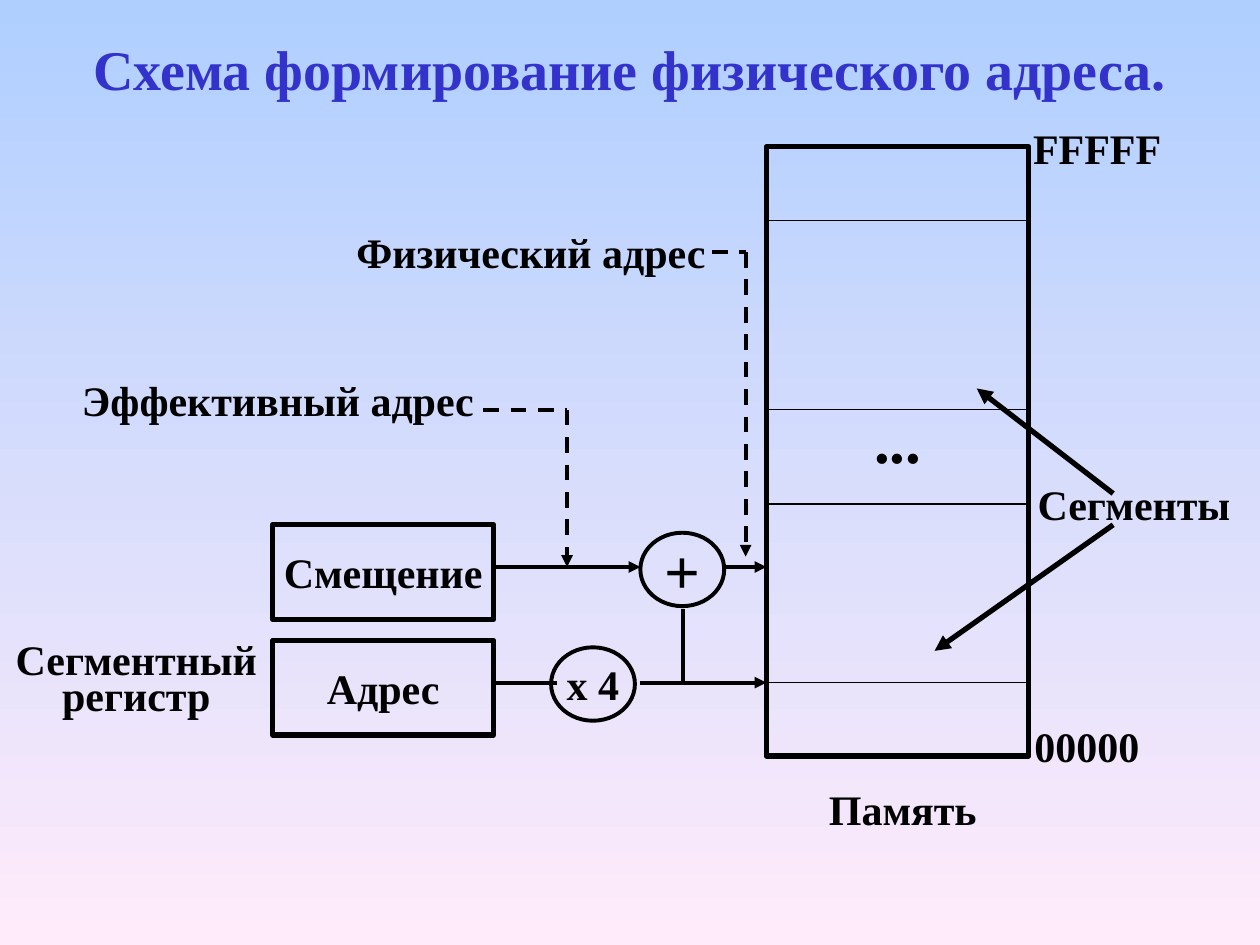
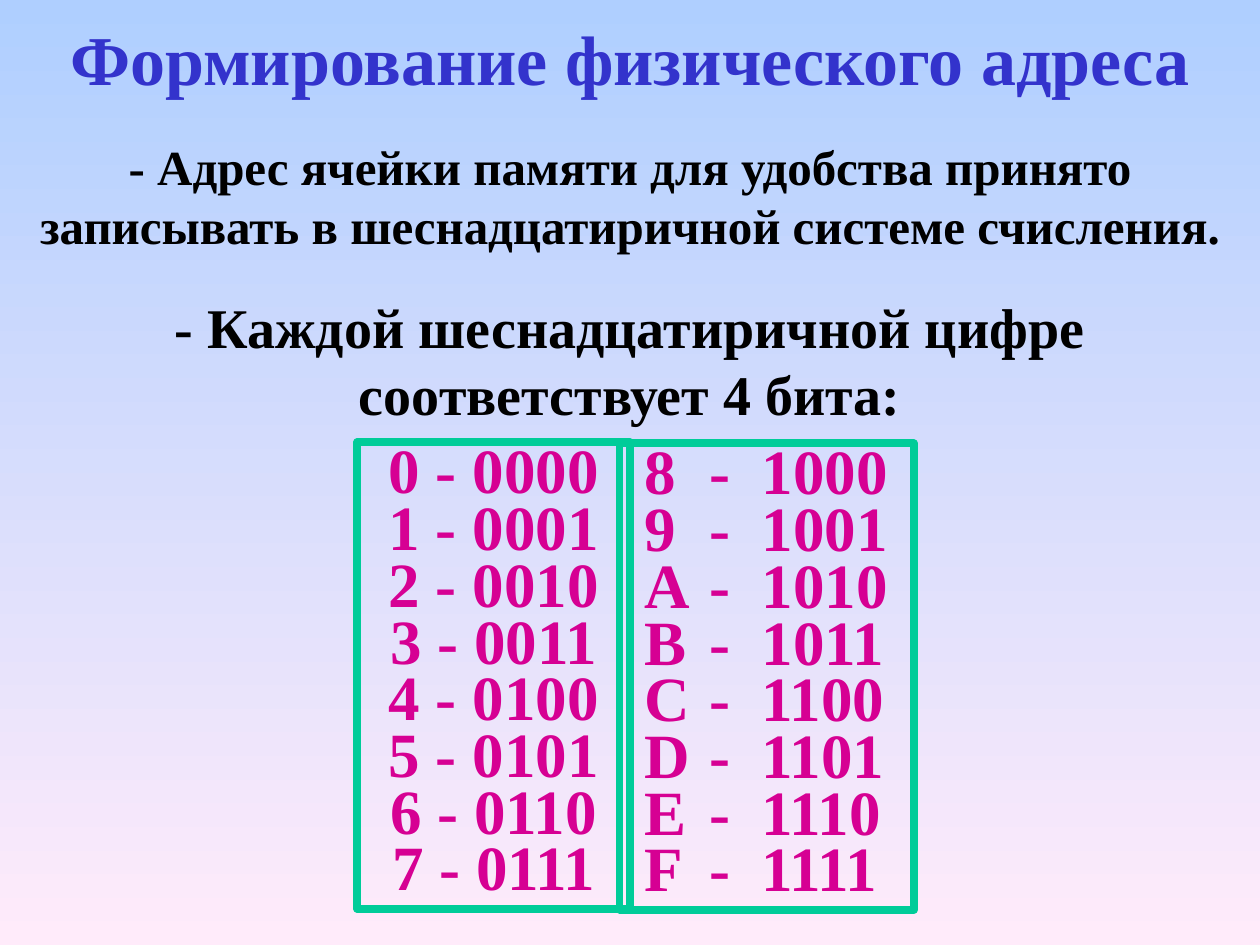
"""Build two slides on how a physical memory address is formed."""
from lxml.etree import SubElement
from pptx import Presentation
from pptx.dml.color import RGBColor
from pptx.enum.dml import MSO_LINE
from pptx.enum.shapes import MSO_CONNECTOR, MSO_SHAPE
from pptx.enum.text import MSO_ANCHOR, PP_ALIGN
from pptx.oxml.ns import qn
from pptx.util import Cm, Pt

HUES = {"sky": "AFCFFF", "rose": "FFEBFA", "title": "3333CC",
        "ink": "000000", "frame": "00CC99", "code": "D60093"}
COLOR = {name: RGBColor.from_string(code) for name, code in HUES.items()}
FONT = "Times New Roman"
MID, TOP = MSO_ANCHOR.MIDDLE, MSO_ANCHOR.TOP
RECT, OVAL = MSO_SHAPE.RECTANGLE, MSO_SHAPE.OVAL


def box(slide, text, area, size=24, hue="ink", form=None, edge="ink", weight=3,
        anchor=TOP, wrap=True, space=1.0, tabs=()):
    """Place text, with an outlined shape around it when a form is given."""
    place = [Cm(x) for x in area]
    if form is None:
        shape = slide.shapes.add_textbox(*place)
    else:
        shape = slide.shapes.add_shape(form, *place)
        shape.shadow.inherit = False
        shape.fill.background()
        shape.line.color.rgb = COLOR[edge]
        shape.line.width = Pt(weight)
    frame = shape.text_frame
    frame.word_wrap = wrap
    frame.vertical_anchor = anchor
    if not text:
        return
    frame.text = text
    if tabs:
        frame.margin_left = Cm(0.51)
    for para in frame.paragraphs:
        if tabs:
            stops = SubElement(para._p.get_or_add_pPr(), qn("a:tabLst"))
            for stop in tabs:
                SubElement(stops, qn("a:tab"), pos=str(Cm(stop)), algn="l")
        para.alignment = PP_ALIGN.LEFT if tabs else PP_ALIGN.CENTER
        para.line_spacing = space
        para.font.name = FONT
        para.font.size = Pt(size)
        para.font.bold = True
        para.font.color.rgb = COLOR[hue]


def link(slide, ends, weight=2.25, arrow=False, dash=False):
    """Draw a straight line, with an arrowhead or dashes on request."""
    wire = slide.shapes.add_connector(MSO_CONNECTOR.STRAIGHT, *[Cm(x) for x in ends])
    wire.line.color.rgb = COLOR["ink"]
    wire.line.width = Pt(weight)
    if dash:
        wire.line.dash_style = MSO_LINE.DASH
    if arrow:
        SubElement(wire.line._get_or_add_ln(), qn("a:tailEnd"), type="triangle")
    SubElement(wire._element.spPr, qn("a:effectLst"))


deck = Presentation()
deck.slide_width, deck.slide_height = Cm(25.4), Cm(19.05)
titles = [("Схема формирование физического адреса.", 32, 2.34),
          ("Формирование физического адреса", 40, 1.91)]
slides = []
for text, size, high in titles:
    slide = deck.slides.add_slide(deck.slide_layouts[6])
    fill = slide.background.fill
    fill.gradient()
    fill.gradient_angle = 270
    for stop, name in zip(fill.gradient_stops, ("sky", "rose")):
        stop.color.rgb = COLOR[name]
    box(slide, text, (0, 0.2, 25.4, high), size, "title", anchor=MID)
    slides.append(slide)
scheme, codes = slides

left, right = 15.45, 20.74
box(scheme, "", (left, 2.96, right - left, 12.28), form=RECT)
for y in (13.76, 10.16, 8.26, 4.45):
    link(scheme, (left, y, right, y), 0.75)

labels = [("Память", left, 15.66, 5.5), ("00000", 20.32, 14.4, 3.18),
          ("FFFFF", 20.53, 2.34, 3.18), ("Сегменты", 20.36, 9.53, 5),
          ("Эффективный адрес", 0.84, 7.42, 9.53),
          ("Физический адрес", 5.94, 4.45, 9.53)]
for text, x, y, wide in labels:
    box(scheme, text, (x, y, wide, 1.27))
box(scheme, "Сегментный\nрегистр", (0, 12.93, 5.5, 1.68), space=0.7)
box(scheme, "...", (16.51, 7.95, 3.18, 1.78), 36)

for text, y in (("Смещение", 10.58), ("Адрес", 12.91)):
    box(scheme, text, (5.5, y, 4.45, 1.91), form=RECT, anchor=MID, wrap=False)
for text, x, y, size in (("х 4", 11.11, 13.05, 24), ("+", 12.91, 10.74, 36)):
    box(scheme, text, (x, y, 1.69, 1.48), size, form=OVAL, weight=2.25,
        anchor=MID, wrap=False)

high, low = 11.43, 13.76
for ends in ((22.44, 9.95, 19.69, 7.83), (22.44, 10.58, 18.84, 13.12)):
    link(scheme, ends, 3, arrow=True)
for ends in ((9.95, low, 11.22, low), (13.76, low, 13.76, 12.28)):
    link(scheme, ends)
for ends in ((9.95, high, 12.91, high), (14.61, high, left, high),
             (12.91, low, left, low)):
    link(scheme, ends, arrow=True)
for start, turn, y, end in ((9.74, 11.43, 8.26, high), (14.35, 15.03, 5.08, 11.22)):
    link(scheme, (start, y, turn, y), dash=True)
    link(scheme, (turn, y, turn, end), arrow=True, dash=True)

box(codes, "- Адрес ячейки памяти для удобства принято записывать "
    "в шеснадцатиричной системе счисления.", (0, 1.93, 25.4, 4.01), 28, anchor=MID)
box(codes, "- Каждой шеснадцатиричной цифре соответствует 4 бита:",
    (0, 5.77, 25.4, 2.97), 32, anchor=MID)
lower = "\n".join(f"{n} - {n:04b}" for n in range(8))
upper = "\n".join(f"{n:X}\t-\t{n:04b}" for n in range(8, 16))
for text, area, tabs in ((lower, (7.2, 8.92, 5.5, 9.4), ()),
                         (upper, (12.49, 8.94, 5.93, 9.4), (1.3, 2.36))):
    box(codes, text, area, 36, "code", RECT, "frame", 4.5, space=0.75, tabs=tabs)

deck.save("out.pptx")
